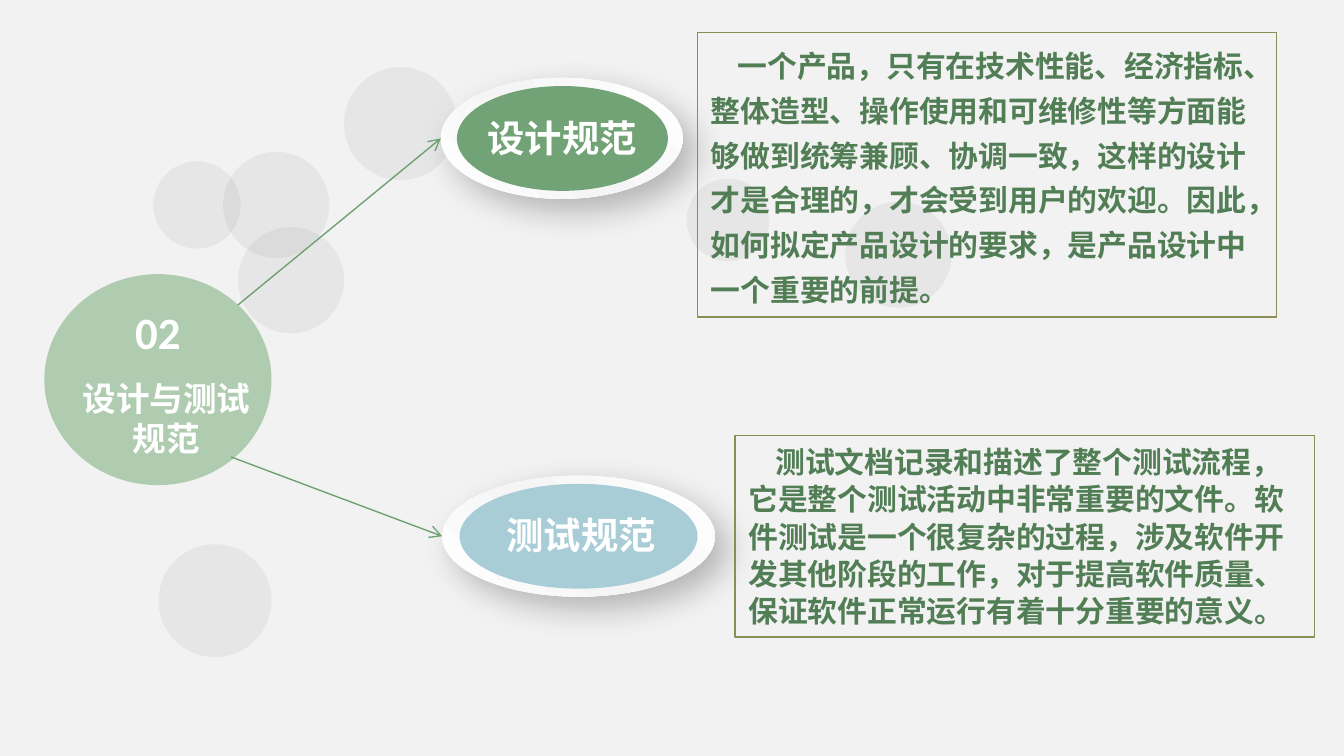
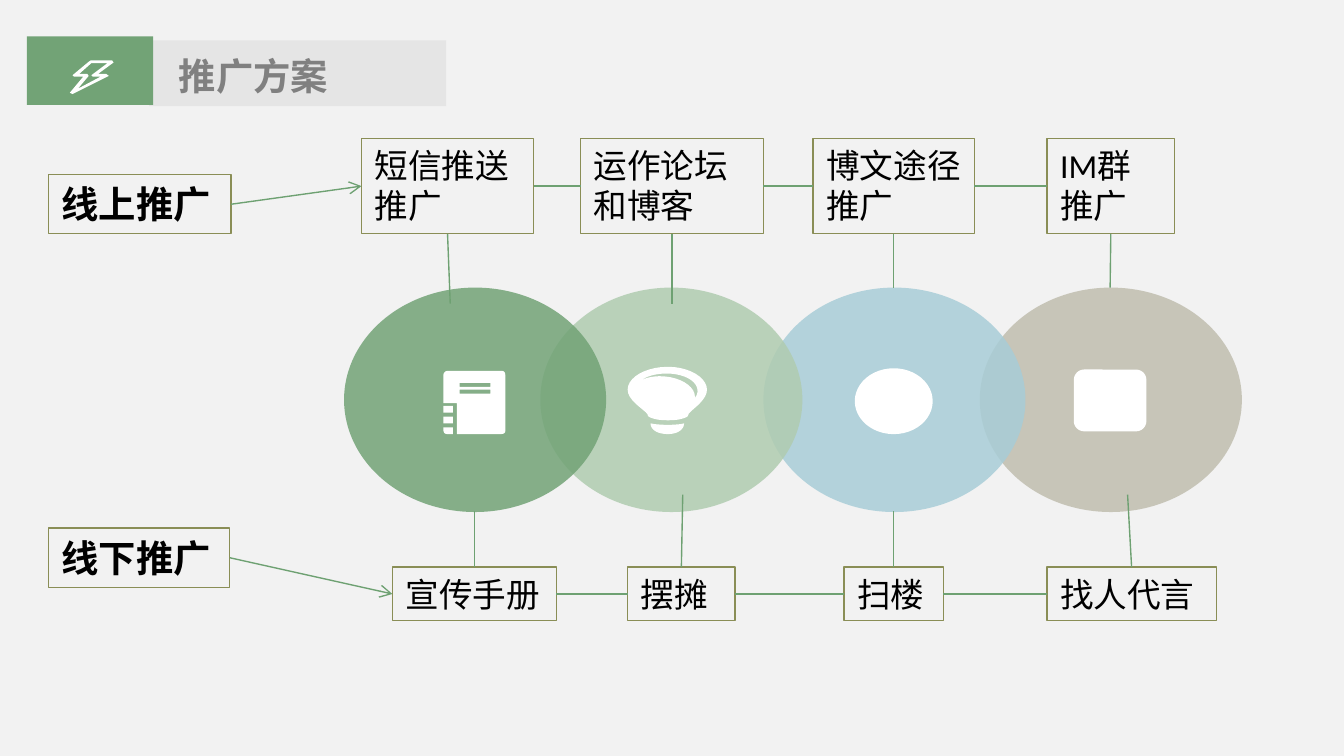
from dataclasses import dataclass
from typing import NamedTuple
from lxml.etree import SubElement as Sub
from pptx import Presentation
from pptx.dml.color import RGBColor as RGB
from pptx.enum.shapes import MSO_CONNECTOR as Link, MSO_SHAPE as Form
from pptx.enum.text import MSO_ANCHOR as Anchor, MSO_AUTO_SIZE as Auto, PP_ALIGN as Align
from pptx.oxml import parse_xml as from_xml
from pptx.oxml.ns import nsdecls, qn
from pptx.util import Emu, Inches, Pt

# Shared look: a grid of 100 columns by 56.25 rows, all cells square
HEX = {"back": "F2F2F2", "gray": "808080", "band": "D9D9D9", "white": "FFFFFF",
       "green": "72A376", "pale": "B0CCB0", "blue": "A8CDD7", "sand": "C0BEAF",
       "line": "6EA172", "edge": "8A8E56", "ink": "527E56", "black": "000000"}
COLS, ROWS = 100, 56.25
CELL = Inches(10) / COLS
NOTO = "Noto Sans CJK SC"


class Box(NamedTuple):
    x: float
    y: float
    w: float
    h: float

    @property
    def mid(self) -> tuple:
        return self.x + self.w / 2, self.y + self.h / 2

    def side(self, right: bool) -> tuple:
        return self.x + self.w * right, self.mid[1]


@dataclass
class Style:
    size: float = 18
    color: str = "black"
    bold: bool = False
    font: str = "Calibri"
    align: Align = Align.LEFT
    space: object = None
    before: float = 0
    indent: float = 0
    pad: tuple = (1, 0.5)


@dataclass
class Node:
    box: Box
    lines: tuple
    end: tuple


@dataclass
class Topic:
    ring: Box
    core: Box
    label: Box
    text: str
    color: str
    start: tuple
    note: Box
    body: str
    space: object


def emu(n: float) -> Emu:
    return Emu(round(n * CELL))


def rgb(name: str) -> RGB:
    return RGB.from_string(HEX[name])


def paint(shape, fill: str = "", alpha: int = 100, edge: str = "") -> None:
    shape.shadow.inherit = False
    if fill:
        shape.fill.solid()
        shape.fill.fore_color.rgb = rgb(fill)
        if alpha < 100:
            tint = shape._element.spPr.find(qn("a:solidFill"))[0]
            Sub(tint, qn("a:alpha"), val=str(alpha * 1000))
    else:
        shape.fill.background()
    if edge:
        shape.line.color.rgb = rgb(edge)
        shape.line.width = Pt(0.75)
    else:
        shape.line.fill.background()


def draw(slide, box: Box, fill: str = "", alpha: int = 100, edge: str = "", form=Form.OVAL):
    shape = slide.shapes.add_shape(form, *map(emu, box))
    paint(shape, fill, alpha, edge)
    return shape


def write(shape, lines: tuple, style: Style, grow: bool = True) -> None:
    frame = shape.text_frame
    side, top = map(emu, style.pad)
    form = {"word_wrap": True, "vertical_anchor": Anchor.TOP,
            "auto_size": Auto.SHAPE_TO_FIT_TEXT if grow else Auto.NONE,
            "margin_left": side, "margin_right": side,
            "margin_top": top, "margin_bottom": top}
    for key, val in form.items():
        setattr(frame, key, val)
    for i, line in enumerate(lines):
        para = frame.add_paragraph() if i else frame.paragraphs[0]
        para.alignment = style.align
        if style.space:
            para.line_spacing = style.space
        if style.before:
            para.space_before = Pt(style.before)
        if style.indent:
            para._p.get_or_add_pPr().set("indent", str(emu(style.indent)))
        run = para.add_run()
        run.text = line
        for key, val in {"size": Pt(style.size), "bold": style.bold, "name": style.font}.items():
            setattr(run.font, key, val)
        run.font.color.rgb = rgb(style.color)
        Sub(run._r.get_or_add_rPr(), qn("a:ea"), typeface=NOTO)


def label(slide, box: Box, lines: tuple, style: Style) -> None:
    write(slide.shapes.add_textbox(*map(emu, box)), lines, style)


def frame(slide, box: Box, lines: tuple, style: Style) -> None:
    write(draw(slide, box, edge="edge", form=Form.RECTANGLE), lines, style)


def join(slide, start: tuple, end: tuple, arrow: bool = False) -> None:
    wire = slide.shapes.add_connector(Link.STRAIGHT, *map(emu, start + end))
    wire.line.color.rgb = rgb("line")
    wire.line.width = Pt(0.75)
    if arrow:
        Sub(wire.line._get_or_add_ln(), qn("a:tailEnd"), type="arrow")
    Sub(wire._element.spPr, qn("a:effectLst"))


def bend(steps: list) -> list:
    """Turn points and six-number curves into a run of points."""
    pts = []
    for step in steps:
        if len(step) == 2:
            pts.append(step)
            continue
        a, b, c, d = pts[-1], step[:2], step[2:4], step[4:]
        for t in (k / 10 for k in range(1, 11)):
            u = 1 - t
            pts.append(tuple(u**3 * a[i] + 3 * u * u * t * b[i] + 3 * u * t * t * c[i]
                             + t**3 * d[i] for i in (0, 1)))
    return pts


def icon(slide, *loops: list) -> None:
    runs = [[(emu(x), emu(y)) for x, y in bend(loop)] for loop in loops]
    pen = slide.shapes.build_freeform(*runs[0][0], scale=1.0)
    for i, pts in enumerate(runs):
        if i:
            pen.move_to(*pts[0])
        pen.add_line_segments(pts[1:], close=True)
    paint(pen.convert_to_shape(), "white")


def bar(x: float, y: float, w: float, h: float) -> list:
    return [(x, y), (x + w, y), (x + w, y + h), (x, y + h)]


def glow(shape) -> None:
    """White sheen and soft shadow of a ring."""
    props = shape._element.spPr
    stops = "".join(f'<a:gs pos="{p}000"><a:srgbClr val="{c}"/></a:gs>'
                    for p, c in ((0, "FFFFFF"), (47, "F5F5F5"), (100, "FFFFFF")))
    props.replace(props.find(qn("a:solidFill")), from_xml(
        f'<a:gradFill {nsdecls("a")}><a:gsLst>{stops}</a:gsLst>'
        '<a:lin ang="18900000" scaled="0"/></a:gradFill>'))
    shade = Sub(props.find(qn("a:effectLst")), qn("a:outerShdw"), blurRad=str(Pt(18)),
                dist=str(Pt(9)), dir="2700000", algn="tl", rotWithShape="0")
    Sub(Sub(shade, qn("a:srgbClr"), val=HEX["black"]), qn("a:alpha"), val="25000")


def page(deck):
    slide = deck.slides.add_slide(deck.slide_layouts[6])
    slide.background.fill.solid()
    slide.background.fill.fore_color.rgb = rgb("back")
    return slide


deck = Presentation()
deck.slide_width, deck.slide_height = emu(COLS), emu(ROWS)

# Slide 1: design and test rules
slide = page(deck)
DOTS = [(11.8, 40.5, 8.4), (11.4, 12, 6.5), (25.6, 5, 8.4), (16.6, 11.3, 7.9),
        (62.9, 15, 7.9), (17.7, 16.9, 7.9), (51.1, 13.3, 6.15)]
for x, y, size in DOTS:
    draw(slide, Box(x, y, size, size), "gray", 10)

hub = Style(24, "white", True, align=Align.CENTER, pad=(0, 0))
write(draw(slide, Box(3.3, 20.4, 16.9, 15.7), "pale"), ("02",), hub, False)
label(slide, Box(4.6, 27.6, 15.6, 7.1), ("设计与测试", "规范"),
      Style(18, "white", True, align=Align.CENTER))

TOPICS = [
    Topic(Box(32.8, 5.8, 18, 9), Box(34, 6.4, 15.7, 7.8), Box(34.7, 8.1, 14.3, 4.4),
          "设计规范", "green", (17.7, 22.7), Box(51.9, 2.4, 43.1, 21.2),
          "一个产品，只有在技术性能、经济指标、整体造型、操作使用和可维修性等方面能够做到统筹兼顾、"
          "协调一致，这样的设计才是合理的，才会受到用户的欢迎。因此，如何拟定产品设计的要求，"
          "是产品设计中一个重要的前提。", 1.25),
    Topic(Box(32.9, 35.4, 20.3, 9), Box(34.2, 36, 17.7, 7.8), Box(36.6, 37.6, 13.3, 4.4),
          "测试规范", "blue", (17.2, 34), Box(54.7, 32.4, 43.1, 15),
          "测试文档记录和描述了整个测试流程，它是整个测试活动中非常重要的文件。软件测试是一个很复杂的"
          "过程，涉及软件开发其他阶段的工作，对于提高软件质量、保证软件正常运行有着十分重要的意义。",
          Pt(20)),
]
for topic in TOPICS:
    glow(draw(slide, topic.ring, "white"))
    draw(slide, topic.core, topic.color)
    label(slide, topic.label, (topic.text,),
          Style(20, "white", True, "Arial", Align.CENTER))
for topic in TOPICS:
    join(slide, topic.start, topic.ring.side(False), True)
for topic in TOPICS:
    frame(slide, topic.note, (topic.body,),
          Style(16, "ink", True, NOTO, space=topic.space, indent=2))

# Slide 2: title band with a bolt
slide = page(deck)
draw(slide, Box(11.1, 3, 22.1, 4.9), "band", 50, form=Form.RECTANGLE)
label(slide, Box(12.7, 3.3, 19, 4), ("推广方案",),
      Style(20, "gray", True, NOTO, space=1.2, before=3, indent=0.6, pad=(0, 0)))
draw(slide, Box(2, 2.7, 9.4, 5.1), "green", form=Form.RECTANGLE)
icon(slide,
     [(7.3, 5.5), (7.9, 5.5), (8.1, 5.65), (5.4, 7), (5.2, 6.9), (6.2, 5.7), (5.5, 5.7),
      (5.4, 5.6), (6.6, 4.6), (6.75, 4.5), (8.35, 4.5), (8.45, 4.65)],
     [(7.5, 5.7), (6.9, 5.7), (6.8, 5.6), (8, 4.7), (6.8, 4.7), (5.9, 5.5), (6.5, 5.5),
      (6.6, 5.65), (5.8, 6.6)])

# Overlapping discs, right to left, with plain marks on the right pair
DISCS = [(72.9, "sand"), (56.8, "blue"), (40.2, "pale"), (25.6, "green")]
MARKS = {"sand": (Box(79.9, 27.5, 5.4, 4.6), Form.ROUNDED_RECTANGLE),
         "blue": (Box(63.6, 27.4, 5.8, 4.9), Form.OVAL)}
for x, color in DISCS:
    draw(slide, Box(x, 21.4, 19.5, 16.7), color, 85)
    if color in MARKS:
        spot, form = MARKS[color]
        draw(slide, spot, "white", form=form)

# Notebook
icon(slide, [(33.3, 27.6), (37.3, 27.6), (37.5, 27.6, 37.6, 27.7, 37.6, 27.9), (37.6, 32.1),
             (37.6, 32.2, 37.5, 32.3, 37.3, 32.3), (34, 32.3), (34, 30), (33, 30),
             (33, 27.9), (33, 27.7, 33.2, 27.6, 33.3, 27.6)],
     *(bar(34.2, y, 2.3, 0.3) for y in (28.5, 29)))
for y in (30.2, 31):
    draw(slide, Box(33, y, 0.7, 0.5), "white", form=Form.RECTANGLE)
icon(slide, [(33.7, 32.3), (33.3, 32.3), (33.1, 32.3, 33, 32.2, 33, 32),
             (33, 31.8), (33.7, 31.8)])

# Balloon
icon(slide, [(48.4, 31.5), (49, 31.65, 50.4, 31.65, 50.9, 31.5),
             (50.9, 31.9, 50.5, 32.3, 49.7, 32.3), (48.8, 32.3, 48.4, 31.9, 48.4, 31.5)])
icon(slide, [(49.7, 27.3), (51.3, 27.3, 52.6, 28.1, 52.6, 29),
             (52.6, 29.9, 51.2, 30.6, 51.2, 30.9), (51.2, 31, 51, 31.1, 50.6, 31.2),
             (50.2, 31.3, 49.2, 31.3, 48.8, 31.2), (48.4, 31.1, 48.2, 31, 48.2, 30.9),
             (48.2, 30.6, 46.7, 29.9, 46.7, 29), (46.7, 28.1, 48, 27.3, 49.7, 27.3)],
     [(49.1, 28), (50.5, 28, 51.7, 28.7, 51.7, 29.5), (51.7, 29.6),
      (51.8, 29.5, 51.9, 29.3, 51.9, 29.1), (51.9, 28.3, 50.8, 27.8, 49.6, 27.8),
      (48.8, 27.8, 48.1, 28, 47.7, 28.3), (48.1, 28.1, 48.6, 28, 49.1, 28)])

# Two chains of channels, each led by a heading and tied to the discs
ABOVE = [Node(Box(26.9, 10.3, 12.8, 7.1), ("短信推送", "推广"), (33.5, 22.6)),
         Node(Box(43.2, 10.3, 13.6, 7.1), ("运作论坛", "和博客"), (50, 22.6)),
         Node(Box(60.5, 10.3, 12, 7.1), ("博文途径推广",), (66.5, 21.4)),
         Node(Box(77.9, 10.3, 9.5, 7.1), ("IM群", "推广"), (82.6, 21.4))]
BELOW = [Node(Box(29.2, 42.2, 12.2, 4), ("宣传手册",), (35.3, 38)),
         Node(Box(46.7, 42.2, 8, 4), ("摆摊",), (50.8, 36.8)),
         Node(Box(62.8, 42.2, 7.4, 4), ("扫楼",), (66.5, 38)),
         Node(Box(77.9, 42.2, 12.6, 4), ("找人代言",), (83.9, 36.8))]
CHAINS = [(Box(3.6, 13, 13.6, 4.4), "线上推广", ABOVE, True),
          (Box(3.6, 39.3, 13.5, 4.4), "线下推广", BELOW, False)]
for head, text, nodes, down in CHAINS:
    for node in nodes:
        frame(slide, node.box, node.lines, Style())
    frame(slide, head, (text,), Style(20, bold=True))
    chain = [head] + [node.box for node in nodes]
    for left, right in zip(chain, chain[1:]):
        join(slide, left.side(True), right.side(False), left is head)
    for node in nodes:
        join(slide, (node.box.mid[0], node.box.y + node.box.h * down), node.end)

deck.save("out.pptx")
